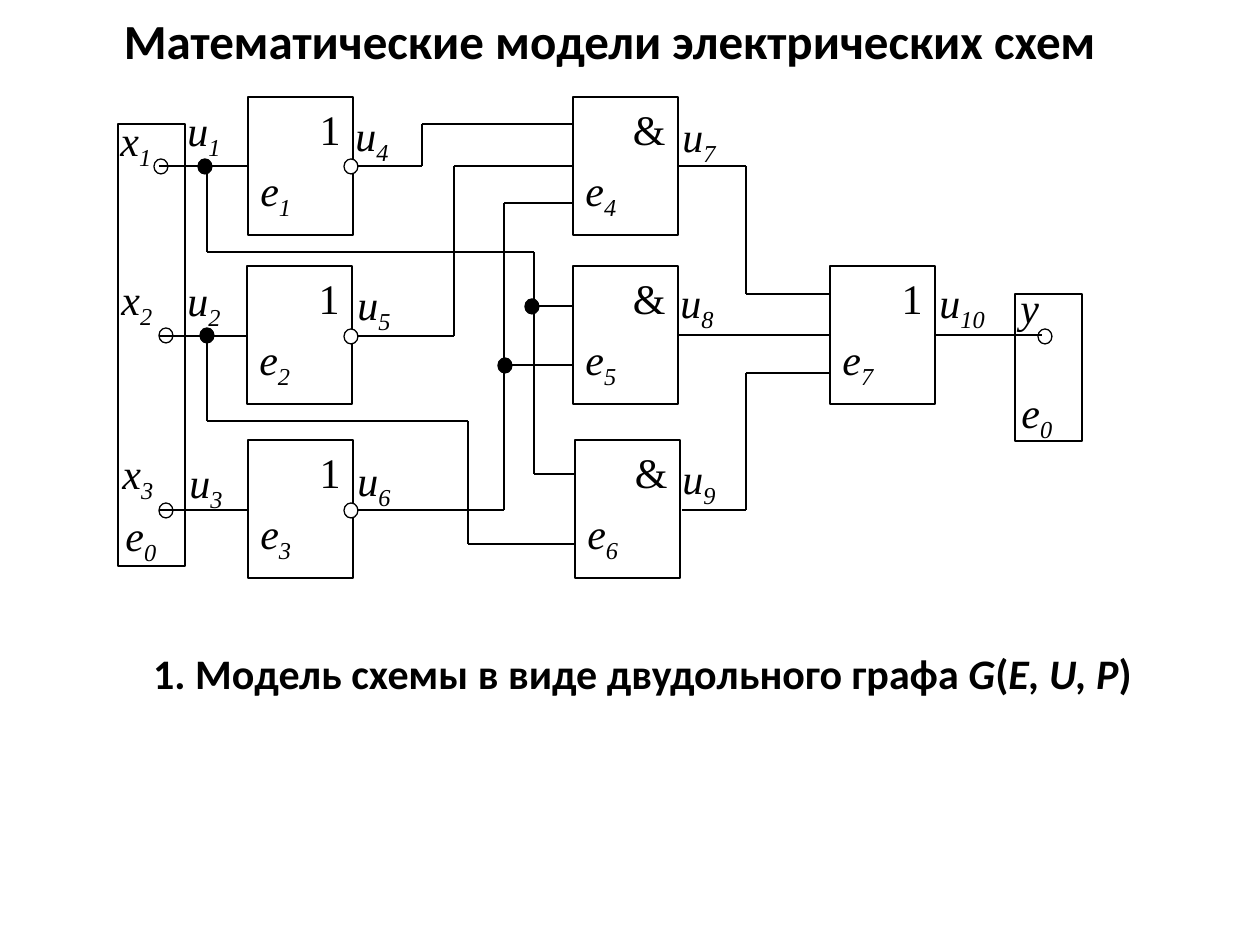
import itertools

import pptx
import pptx.dml.color
import pptx.enum.shapes
import pptx.enum.text
import pptx.oxml
import pptx.oxml.ns
import pptx.util

SCALE = 914400 / 126
COLORS = {"ink": "000000", "paper": "FFFFFF"}
SHAPES = pptx.enum.shapes.MSO_SHAPE
ALIGN = pptx.enum.text.PP_ALIGN
ANCHOR = pptx.enum.text.MSO_ANCHOR
SERIF = {"name": "Times New Roman", "size": pptx.util.Pt(24)}
ITALIC = {**SERIF, "italic": True}
HEADING = {"name": "Calibri", "size": pptx.util.Pt(28), "bold": True}
CAPTION = {**HEADING, "size": pptx.util.Pt(24)}
LABEL_PARAGRAPH = {"alignment": ALIGN.LEFT, "space_after": pptx.util.Pt(10)}
MARK_PARAGRAPH = {"alignment": ALIGN.RIGHT}
NAME_PARAGRAPH = {"alignment": ALIGN.LEFT, "space_before": pptx.util.Pt(6)}

LABELS = [("x", "3", 110, 441), ("e", "0", 1009, 380), ("e", "0", 113, 503),
          ("x", "2", 109, 267), ("x", "1", 108, 108),
          ("u", "1", 175, 98), ("u", "2", 175, 268), ("u", "3", 177, 450),
          ("u", "4", 343, 103), ("u", "5", 345, 272), ("u", "6", 345, 448),
          ("u", "7", 670, 104), ("u", "8", 668, 270), ("u", "9", 670, 446),
          ("u", "10", 927, 270), ("y", "", 1008, 275)]
GATES = [("1", "1", 248, 97), ("1", "2", 247, 266), ("1", "3", 248, 440),
         ("&", "4", 573, 97), ("&", "5", 573, 266), ("&", "6", 575, 440),
         ("1", "7", 830, 266)]
OPEN_DOTS = [(154, 159), (159, 328), (159, 503), (344, 159), (344, 329), (344, 503),
             (1038, 329)]
JUNCTIONS = [(198, 159), (200, 328), (525, 299), (498, 358)]
WIRES = [
    [(159, 166), (248, 166)],
    [(159, 336), (247, 336)],
    [(159, 510), (248, 510)],
    [(358, 166), (422, 166), (422, 124), (574, 124)],
    [(357, 336), (421, 336), (454, 336), (454, 166), (485, 166), (573, 166)],
    [(358, 510), (422, 510), (504, 510), (504, 203), (574, 203)],
    [(504, 365), (573, 365)],
    [(207, 166), (207, 252), (534, 252), (534, 306), (534, 474), (574, 474)],
    [(534, 306), (573, 306)],
    [(207, 335), (207, 421), (468, 421), (468, 544), (574, 544)],
    [(678, 166), (746, 166), (746, 294), (829, 294)],
    [(678, 335), (742, 335), (830, 335)],
    [(682, 510), (746, 510), (746, 373), (829, 373)],
    [(935, 335), (999, 335), (1042, 335)],
]
TERMINAL_BOXES = [(118, 124, 67, 442), (1015, 294, 67, 147)]


def px(*values):
    """Turn pixel lengths into a list of EMU."""
    return [round(v * SCALE) for v in values]


def color(name):
    """Return a named colour."""
    return pptx.dml.color.RGBColor.from_string(COLORS[name])


def apply(target, values):
    """Set every attribute in a dict of format values."""
    for name, value in values.items():
        setattr(target, name, value)


def add_run(p, text, fmt, subscript=False):
    """Add a formatted run to a paragraph."""
    r = p.add_run()
    r.text = text
    apply(r.font, fmt)
    r.font.color.rgb = color("ink")
    if subscript:
        r._r.get_or_add_rPr().set("baseline", "-25000")


def add_symbol(p, letter, index, fmt):
    """Write an italic letter with its subscript."""
    apply(p, fmt)
    add_run(p, letter, ITALIC)
    if index:
        add_run(p, index, ITALIC, True)


def add_outline(s, kind, box, fill=None, line="ink"):
    """Add a thin outlined shape with top-left text."""
    sp = s.shapes.add_shape(kind, *px(*box))
    sp.shadow.inherit = False
    if fill:
        sp.fill.solid()
        sp.fill.fore_color.rgb = color(fill)
    else:
        sp.fill.background()
    sp.line.color.rgb = color(line)
    sp.line.width = pptx.util.Pt(0.75)
    apply(sp.text_frame, {"word_wrap": True, "vertical_anchor": ANCHOR.TOP})
    return sp


def add_label(s, letter, index, x, y):
    """Add a signal or terminal label."""
    size = (91, 78) if index == "8" else (105, 92)
    sp = add_outline(s, SHAPES.RECTANGLE, (x, y, *size), line="paper")
    add_symbol(sp.text_frame.paragraphs[0], letter, index, LABEL_PARAGRAPH)


def add_gate(s, mark, index, x, y):
    """Add a logic gate with its function mark and name."""
    tf = add_outline(s, SHAPES.RECTANGLE, (x, y, 105, 138), "paper").text_frame
    p = tf.paragraphs[0]
    apply(p, MARK_PARAGRAPH)
    add_run(p, mark, SERIF)
    add_symbol(tf.add_paragraph(), "е", index, NAME_PARAGRAPH)


def add_dots(s, places, fill):
    """Add equal round dots at the given places."""
    for x, y in places:
        add_outline(s, SHAPES.OVAL, (x, y, 14, 15), fill)


def add_wire(s, points):
    """Join successive points with straight connectors."""
    for start, end in itertools.pairwise(points):
        c = s.shapes.add_connector(pptx.enum.shapes.MSO_CONNECTOR.STRAIGHT,
                                   *px(*start, *end))
        c.line.color.rgb = color("ink")
        c.line.width = pptx.util.Pt(0.75)
        c._element.spPr.append(pptx.oxml.parse_xml(
            f'<a:effectLst {pptx.oxml.ns.nsdecls("a")}/>'))


def add_heading(s):
    """Fill the title placeholder and remove the subtitle."""
    sp = s.shapes.title
    apply(sp, dict(zip(("left", "top", "width", "height"), px(74, 0, 1071, 79))))
    sp.text_frame.vertical_anchor = ANCHOR.MIDDLE
    p = sp.text_frame.paragraphs[0]
    p.alignment = ALIGN.CENTER
    add_run(p, "Математические модели электрических схем", HEADING)
    subtitle = s.placeholders[1].element
    subtitle.getparent().remove(subtitle)


def add_caption(s):
    """Add the caption under the circuit."""
    tf = s.shapes.add_textbox(*px(25, 641, 1235, 115)).text_frame
    tf.word_wrap = True
    p = tf.paragraphs[0]
    p.alignment = ALIGN.CENTER
    parts = ["1. Модель схемы в виде двудольного графа ", "G", "(", "E, U, P", ")"]
    for i, text in enumerate(parts):
        add_run(p, text, {**CAPTION, "italic": i % 2 == 1})


def main():
    """Build the slide and save it."""
    prs = pptx.Presentation()
    prs.slide_width, prs.slide_height = px(1260, 945)
    s = prs.slides.add_slide(prs.slide_layouts[0])
    add_heading(s)
    for label in LABELS:
        add_label(s, *label)
    for gate in GATES:
        add_gate(s, *gate)
    add_dots(s, OPEN_DOTS, "paper")
    add_dots(s, JUNCTIONS, "ink")
    for wire in WIRES:
        add_wire(s, wire)
    for box in TERMINAL_BOXES:
        add_outline(s, SHAPES.RECTANGLE, box)
    add_caption(s)
    prs.save("out.pptx")


if __name__ == "__main__":
    main()
